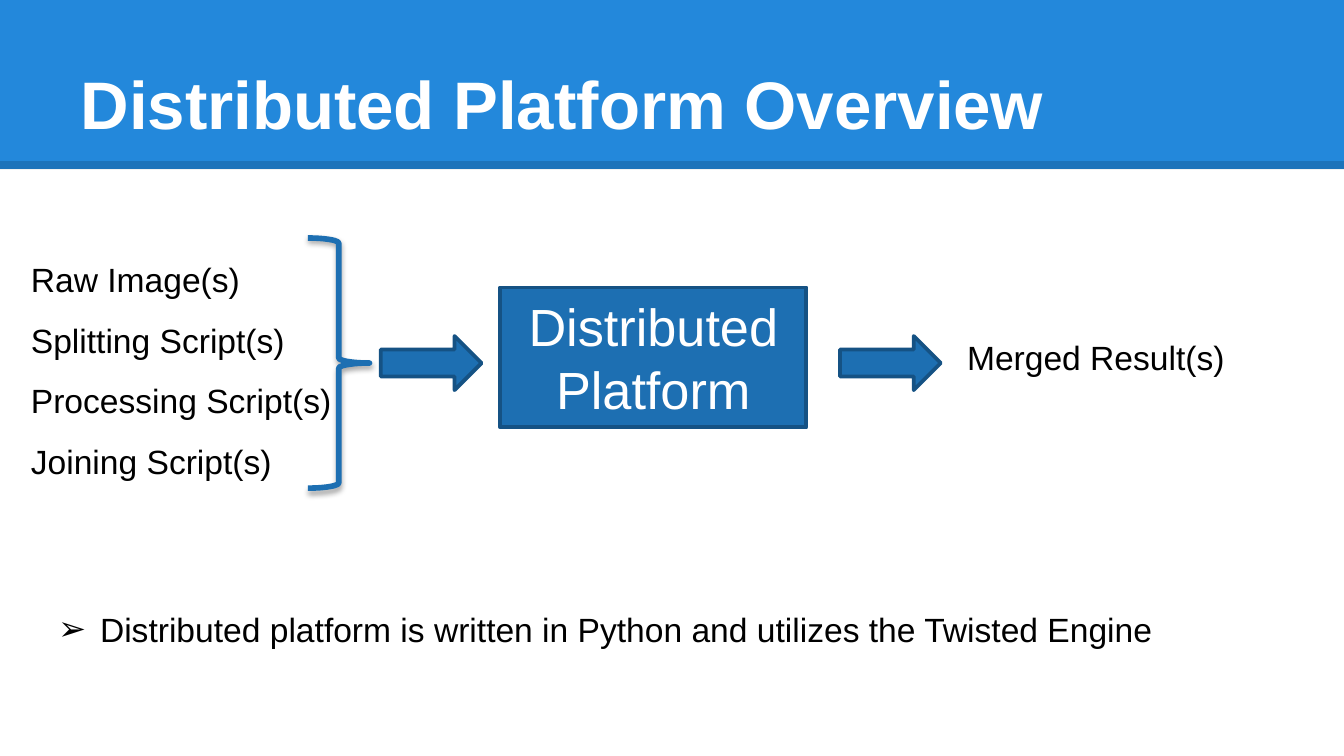
import pptx
import pptx.dml.color
import pptx.enum.shapes
import pptx.enum.text
import pptx.oxml.ns
import pptx.util
from lxml import etree

Pt = pptx.util.Pt
SHAPE = pptx.enum.shapes.MSO_SHAPE
ALIGN = pptx.enum.text.PP_ALIGN
ANCHOR = pptx.enum.text.MSO_ANCHOR
COLORS = {
    "band": "2388DB",
    "fill": "1D6FB2",
    "edge": "155284",
    "text": "000000",
    "light": "FFFFFF",
}


def rgb(name):
    return pptx.dml.color.RGBColor.from_string(COLORS[name])


def add_xml(parent, tag, **attrs):
    el = etree.SubElement(parent, pptx.oxml.ns.qn(tag))
    for key, value in attrs.items():
        el.set(key, str(value))
    return el


def write(tf, text, size=18, color="text", bold=False, align=ALIGN.LEFT,
          spacing=None, bullet=None, indent=22.5):
    for i, line in enumerate(text.split("\n")):
        p = tf.paragraphs[0] if i == 0 else tf.add_paragraph()
        p.alignment = align
        if spacing:
            p.line_spacing = spacing
        if bullet:
            pPr = p._p.get_or_add_pPr()
            pPr.set("marL", str(Pt(indent)))
            pPr.set("indent", str(Pt(-indent)))
            add_xml(pPr, "a:buFont", typeface="Arial")
            add_xml(pPr, "a:buChar", char=bullet)
        r = p.add_run()
        r.text = line
        r.font.name = "Arial"
        r.font.size = Pt(size)
        r.font.bold = bold
        r.font.color.rgb = rgb(color)


class Deck:
    def __init__(self, width, height):
        self.prs = pptx.Presentation()
        self.prs.slide_width = Pt(width)
        self.prs.slide_height = Pt(height)
        self.width = width
        self.slide = self.prs.slides.add_slide(self.prs.slide_layouts[5])

    def shape(self, kind, x, y, w, h, fill="fill", edge="edge", weight=2):
        sp = self.slide.shapes.add_shape(kind, Pt(x), Pt(y), Pt(w), Pt(h))
        sp.shadow.inherit = False
        if fill:
            sp.fill.solid()
            sp.fill.fore_color.rgb = rgb(fill)
        else:
            sp.fill.background()
        if edge:
            sp.line.color.rgb = rgb(edge)
            sp.line.width = Pt(weight)
        else:
            sp.line.fill.background()
        return sp

    def band(self, height, rule_y):
        self.shape(SHAPE.RECTANGLE, 0, 0, self.width, height, "band", None)
        rule = self.slide.shapes.add_connector(
            pptx.enum.shapes.MSO_CONNECTOR.STRAIGHT,
            0, Pt(rule_y), Pt(self.width), Pt(rule_y))
        rule.line.color.rgb = rgb("text")
        rule.line.width = Pt(4.5)
        color = rule.line._ln.find(".//" + pptx.oxml.ns.qn("a:srgbClr"))
        add_xml(color, "a:alpha", val=15000)
        add_xml(rule._element.spPr, "a:effectLst")

    def title(self, text, x, y, w, h):
        sp = self.slide.shapes.title
        self.slide.shapes._spTree.append(sp._element)
        sp.left, sp.top, sp.width, sp.height = Pt(x), Pt(y), Pt(w), Pt(h)
        tf = sp.text_frame
        tf.word_wrap = True
        tf.auto_size = pptx.enum.text.MSO_AUTO_SIZE.NONE
        tf.vertical_anchor = ANCHOR.BOTTOM
        tf.margin_left = tf.margin_right = Pt(7.2)
        tf.margin_top = tf.margin_bottom = Pt(7.2)
        write(tf, text, size=36, color="light", bold=True)

    def box(self, text, x, y, w, h):
        tf = self.shape(SHAPE.RECTANGLE, x, y, w, h).text_frame
        tf.word_wrap = True
        tf.vertical_anchor = ANCHOR.TOP
        write(tf, text, size=28, color="light", align=ALIGN.CENTER)

    def text(self, text, x, y, w, h, **fmt):
        sp = self.slide.shapes.add_textbox(Pt(x), Pt(y), Pt(w), Pt(h))
        tf = sp.text_frame
        tf.word_wrap = False
        tf.auto_size = pptx.enum.text.MSO_AUTO_SIZE.SHAPE_TO_FIT_TEXT
        write(tf, text, **fmt)

    def arrow(self, x, y):
        self.shape(SHAPE.RIGHT_ARROW, x, y, 54, 29)

    def brace(self, x, y, w, h):
        sp = self.shape(SHAPE.RIGHT_BRACE, x, y, w, h, None, "fill", 3)
        effects = sp._element.spPr.find(pptx.oxml.ns.qn("a:effectLst"))
        shadow = add_xml(effects, "a:outerShdw", blurRad=Pt(3.1),
                         dist=Pt(1.8), dir=5400000, rotWithShape=0)
        color = add_xml(shadow, "a:srgbClr", val=COLORS["text"])
        add_xml(color, "a:alpha", val=35000)


def main():
    deck = Deck(720, 405)
    deck.band(90.5, 88.5)
    deck.title("Distributed Platform Overview", 36, 16.5, 648, 67.5)
    deck.box("Distributed\nPlatform", 268, 154, 164, 75)
    deck.text("Raw Image(s)\nSplitting Script(s)\nProcessing Script(s)\n"
              "Joining Script(s)", 9.5, 124.5, 177, 138, spacing=1.5)
    deck.text("Merged Result(s)", 511, 177, 159, 29)
    deck.brace(165, 127.5, 33, 134)
    for x in (204, 450):
        deck.arrow(x, 180)
    deck.text("Distributed platform is written in Python and utilizes the "
              "Twisted Engine", 24, 322.5, 608, 29, bullet="➢")
    deck.prs.save("out.pptx")


if __name__ == "__main__":
    main()
